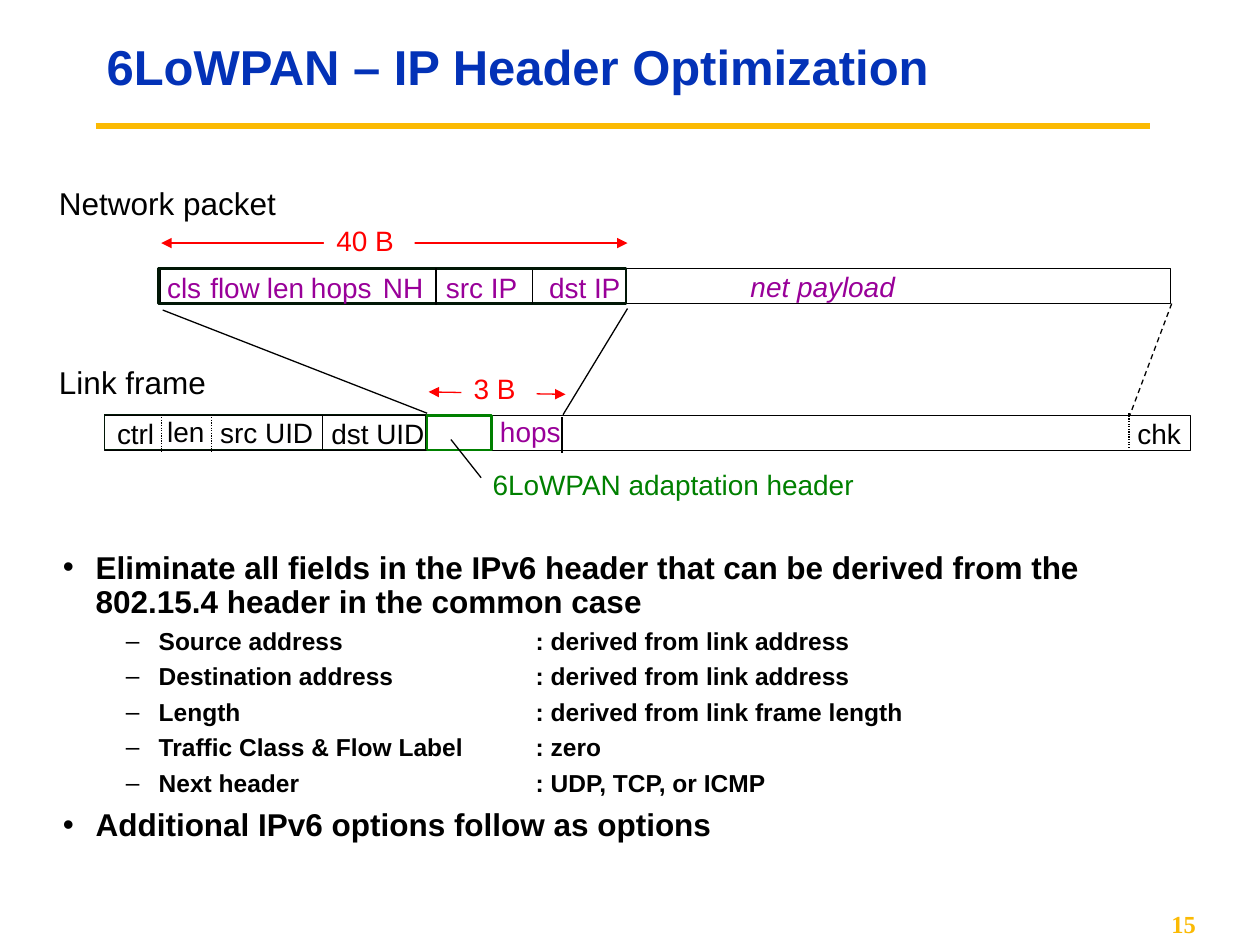
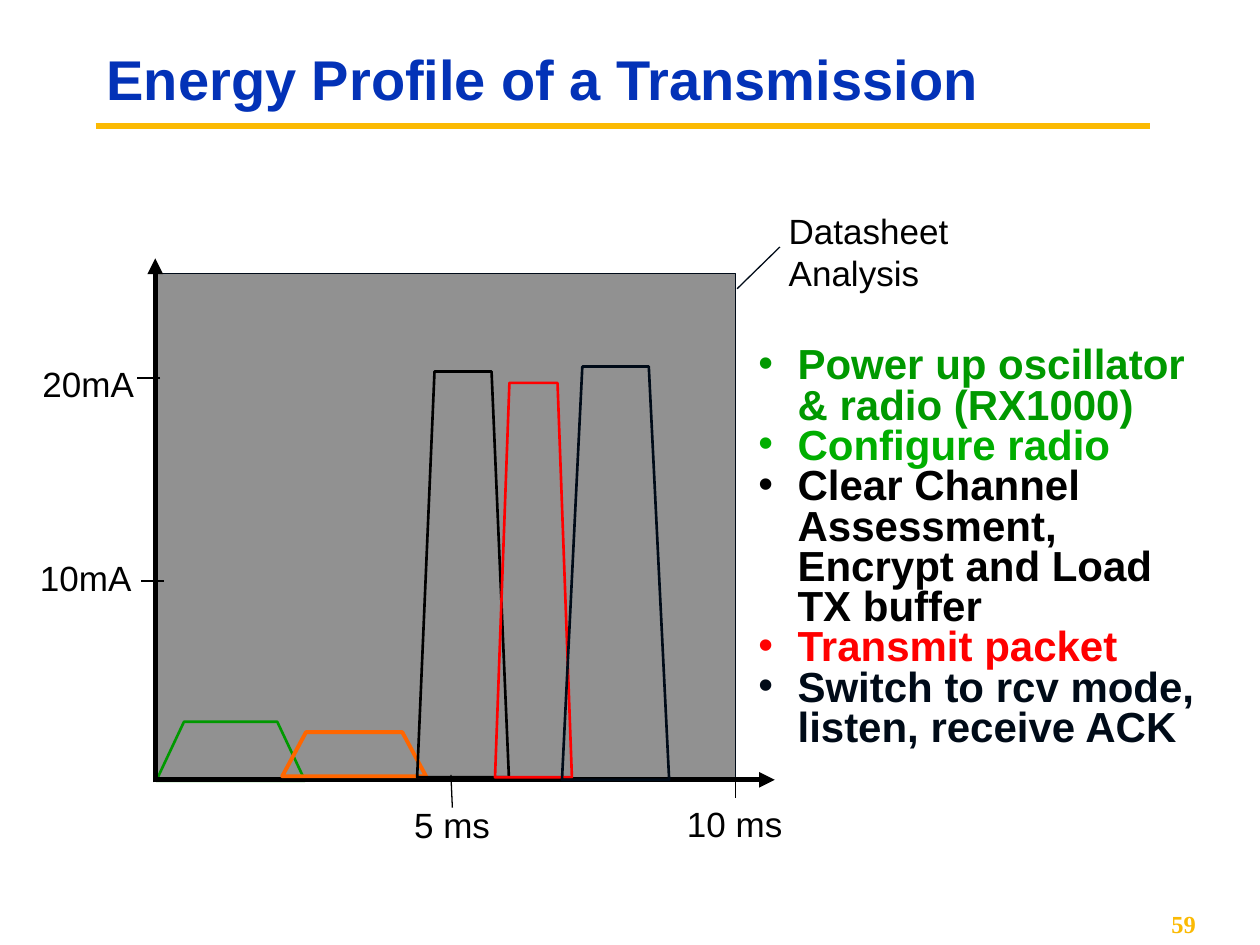
from dataclasses import dataclass
from typing import Optional

from lxml import etree
from pptx import Presentation
from pptx import util as u
from pptx.dml.color import RGBColor
from pptx.enum import dml, shapes, text
from pptx.oxml.ns import qn


# Theme: colours and type sizes
@dataclass(frozen=True)
class Theme:
    black: str = "000000"
    white: str = "FFFFFF"
    title: str = "0332B7"
    gold: str = "FBBA03"
    red: str = "FF0000"
    purple: str = "990099"
    header_line: str = "011706"
    adaptation: str = "008000"
    power_up: str = "009900"
    configure: str = "00AE00"
    orange: str = "FF6600"
    navy: str = "000B18"
    plot: str = "919191"
    sans: str = "Arial"
    serif: str = "Times New Roman"
    small: int = 14
    field: int = 16
    medium: int = 18
    axis: int = 20
    large: int = 24
    long_title: int = 28
    short_title: int = 32


THEME = Theme()


# Repeated elements, lengths in centimetres
@dataclass(frozen=True)
class Label:
    words: str
    left: float
    top: float
    width: float
    color: str = THEME.black
    size: int = THEME.field
    fill: Optional[str] = None
    italic: bool = False
    centered: bool = False


@dataclass(frozen=True)
class Line:
    x1: float
    y1: float
    x2: float
    y2: float
    color: str = THEME.black
    weight: float = 0.75
    dash: Optional[dml.MSO_LINE] = None
    head: bool = False
    tail: bool = False


@dataclass(frozen=True)
class Frame:
    left: float
    top: float
    width: float
    height: float
    line: str = THEME.black
    weight: float = 0.75
    fill: Optional[str] = THEME.white


@dataclass(frozen=True)
class Pulse:
    left: float
    right: float
    inset: float
    top: float
    base: float
    color: str
    weight: float = 1.5


@dataclass(frozen=True)
class Bullet:
    words: str
    color: str = THEME.black
    bullet_color: str = THEME.black
    size: int = THEME.medium
    mark: str = "•"
    margin: float = 0.66
    hang: float = 0.66
    spacing: float = 0.9
    before: float = 0
    tab: Optional[float] = None


def add_text(page, words: str, left: float, top: float, width: float, height: float, *,
             size: float, color: str, font: str = THEME.sans, bold: bool = False,
             italic: bool = False, align=text.PP_ALIGN.LEFT, anchor=text.MSO_ANCHOR.TOP,
             spacing: float = 1.0, fill: Optional[str] = None):
    box = page.shapes.add_textbox(u.Cm(left), u.Cm(top), u.Cm(width), u.Cm(height))
    if fill:
        box.fill.solid()
        box.fill.fore_color.rgb = RGBColor.from_string(fill)
    frame = box.text_frame
    frame.word_wrap = True
    frame.vertical_anchor = anchor
    frame.text = words
    for para in frame.paragraphs:
        para.alignment = align
        para.line_spacing = spacing
        for span in para.runs:
            style_font(span.font, size, color, font, bold, italic)
    return box


def style_font(font, size: float, color: str, name: str = THEME.sans,
               bold: bool = False, italic: bool = False) -> None:
    font.size, font.name, font.bold, font.italic = u.Pt(size), name, bold, italic
    font.color.rgb = RGBColor.from_string(color)


def add_label(page, label: Label) -> None:
    """Tight caption: the unused side insets leave room to keep each line whole."""
    lines = label.words.count("\n") + 1
    align = text.PP_ALIGN.CENTER if label.centered else text.PP_ALIGN.LEFT
    box = add_text(page, label.words, label.left, label.top, label.width,
                   0.26 + 0.042 * label.size * lines, size=label.size, color=label.color,
                   fill=label.fill, italic=label.italic, align=align)
    box.text_frame.margin_right = 0
    if label.centered:
        box.text_frame.margin_left = 0


def style_line(line, color: str, weight: float) -> None:
    line.color.rgb = RGBColor.from_string(color)
    line.width = u.Pt(weight)


def add_line(page, line: Line) -> None:
    connector = page.shapes.add_connector(
        shapes.MSO_CONNECTOR.STRAIGHT, u.Cm(line.x1), u.Cm(line.y1), u.Cm(line.x2), u.Cm(line.y2))
    style_line(connector.line, line.color, line.weight)
    if line.dash is not None:
        connector.line.dash_style = line.dash
    properties = connector.element.spPr
    outline = properties.find(qn("a:ln"))
    for tag, wanted in (("a:headEnd", line.head), ("a:tailEnd", line.tail)):
        if wanted:
            etree.SubElement(outline, qn(tag), type="triangle")
    etree.SubElement(properties, qn("a:effectLst"))


def style_shape(shape, line: str, weight: float, fill: Optional[str]) -> None:
    shape.shadow.inherit = False
    style_line(shape.line, line, weight)
    if fill:
        shape.fill.solid()
        shape.fill.fore_color.rgb = RGBColor.from_string(fill)
    else:
        shape.fill.background()


def add_frame(page, frame: Frame) -> None:
    box = page.shapes.add_shape(shapes.MSO_SHAPE.RECTANGLE, u.Cm(frame.left), u.Cm(frame.top),
                                u.Cm(frame.width), u.Cm(frame.height))
    style_shape(box, frame.line, frame.weight, frame.fill)


def add_pulse(page, pulse: Pulse) -> None:
    corners = [(pulse.right, pulse.base), (pulse.right - pulse.inset, pulse.top),
               (pulse.left + pulse.inset, pulse.top)]
    builder = page.shapes.build_freeform(u.Cm(pulse.left), u.Cm(pulse.base))
    builder.add_line_segments([(u.Cm(x), u.Cm(y)) for x, y in corners], close=True)
    style_shape(builder.convert_to_shape(), pulse.color, pulse.weight, None)


def add_bullets(page, bullets: list[Bullet], left: float, top: float,
                width: float, height: float) -> None:
    box = page.shapes.add_textbox(u.Cm(left), u.Cm(top), u.Cm(width), u.Cm(height))
    frame = box.text_frame
    frame.word_wrap = True
    for index, bullet in enumerate(bullets):
        para = frame.paragraphs[0] if index == 0 else frame.add_paragraph()
        properties = para._p.get_or_add_pPr()
        properties.set("marL", str(u.Cm(bullet.margin)))
        properties.set("indent", str(-u.Cm(bullet.hang)))
        color = etree.SubElement(properties, qn("a:buClr"))
        etree.SubElement(color, qn("a:srgbClr"), val=bullet.bullet_color)
        etree.SubElement(properties, qn("a:buFont"), typeface=THEME.sans)
        etree.SubElement(properties, qn("a:buChar"), char=bullet.mark)
        if bullet.tab:
            tabs = etree.SubElement(properties, qn("a:tabLst"))
            etree.SubElement(tabs, qn("a:tab"), pos=str(u.Cm(bullet.tab)), algn="l")
        para.line_spacing = bullet.spacing
        para.space_before = u.Pt(bullet.before)
        span = para.add_run()
        span.text = bullet.words
        style_font(span.font, bullet.size, bullet.color, bold=True)


def add_page(deck, title: str, number: int, title_size: int, title_height: float):
    """Blank page with the shared rule, title and page number."""
    page = deck.slides.add_slide(deck.slide_layouts[6])
    add_line(page, Line(1.93, 2.54, 23.19, 2.54, THEME.gold, 3.75))
    add_text(page, title, 1.9, 0.64, 21.39, title_height, size=title_size, color=THEME.title,
             bold=True, anchor=text.MSO_ANCHOR.MIDDLE, spacing=0.9)
    add_text(page, str(number), 20.75, 18.21, 3.61, 0.84, size=THEME.small, color=THEME.gold,
             font=THEME.serif, bold=True, align=text.PP_ALIGN.RIGHT,
             anchor=text.MSO_ANCHOR.MIDDLE)
    return page


def build_header_page(deck) -> None:
    page = add_page(deck, "6LoWPAN – IP Header Optimization", 15, THEME.long_title, 1.52)

    # Packet and frame outlines
    for frame in (
        Frame(2.11, 8.38, 21.89, 0.71),
        Frame(2.11, 8.36, 6.48, 0.71, THEME.header_line, fill=None),
        Frame(8.61, 8.38, 1.3, 0.69, THEME.adaptation, 1.5),
        Frame(3.23, 5.41, 20.37, 0.71),
        Frame(3.2, 5.41, 9.42, 0.71, THEME.header_line, 1.5, None),
    ):
        add_frame(page, frame)

    # Field dividers: x, top, bottom, dash
    dotted = dml.MSO_LINE.ROUND_DOT
    for x, top, bottom, dash in (
        (3.25, 8.41, 9.09, dotted), (4.27, 8.41, 9.09, dotted), (22.76, 8.33, 9.02, dotted),
        (6.5, 8.36, 9.09, None), (11.33, 8.41, 9.14, None),
        (10.74, 5.44, 6.12, None), (8.79, 5.41, 6.15, None),
    ):
        add_line(page, Line(x, top, x, bottom, dash=dash))

    # Size arrows, projections and leader
    for line in (
        Line(3.25, 4.9, 12.65, 4.9, THEME.red, head=True, tail=True),
        Line(8.64, 7.9, 11.4, 7.95, THEME.red, head=True, tail=True),
        Line(3.28, 6.25, 8.61, 8.33),
        Line(12.65, 6.22, 11.35, 8.36),
        Line(23.62, 6.12, 22.78, 8.36, dash=dml.MSO_LINE.DASH),
        Line(9.09, 8.86, 9.7, 9.63),
    ):
        add_line(page, line)

    # Captions and link-frame fields
    for label in (
        Label("Network packet", 0.94, 3.58, 4.88, size=THEME.medium),
        Label("Link frame", 0.94, 7.19, 3.45, size=THEME.medium),
        Label("40 B", 6.53, 4.39, 1.83, THEME.red, fill=THEME.white),
        Label("3 B", 9.3, 7.37, 1.52, THEME.red, fill=THEME.white),
        Label("ctrl", 2.11, 8.28, 1.24),
        Label("len", 3.12, 8.23, 1.24),
        Label("src UID", 4.19, 8.26, 2.39),
        Label("dst UID", 6.43, 8.28, 2.39),
        Label("hops", 9.83, 8.23, 1.73, THEME.purple),
        Label("chk", 22.68, 8.28, 1.37),
        Label("6LoWPAN adaptation header", 9.68, 9.3, 7.82, THEME.adaptation),
        Label("net payload", 14.88, 5.31, 3.4, THEME.purple, italic=True),
    ):
        add_label(page, label)

    # IP header fields
    for words, left, width in (
        ("cls", 3.12, 1.19), ("flow", 3.99, 1.5), ("len", 5.13, 1.24), ("hops", 6.02, 1.73),
        ("NH", 7.47, 1.32), ("src IP", 8.74, 1.93), ("dst IP", 10.82, 1.93),
    ):
        add_label(page, Label(words, left, 5.33, width, THEME.purple))

    # Explanation
    derivations = (
        ("Source address", "derived from link address"),
        ("Destination address", "derived from link address"),
        ("Length", "derived from link frame length"),
        ("Traffic Class & Flow Label", "zero"),
        ("Next header", "UDP, TCP, or ICMP"),
    )
    bullets = [Bullet("Eliminate all fields in the IPv6 header that can be derived from the "
                      "802.15.4 header in the common case")]
    bullets += [Bullet(f"{name}\t: {origin}", size=THEME.small, mark="–", margin=1.93,
                       before=5.2, tab=9.53) for name, origin in derivations]
    bullets.append(Bullet("Additional IPv6 options follow as options", before=6.8))
    add_bullets(page, bullets, 1.02, 11, 23.24, 6.25)


def build_energy_page(deck) -> None:
    page = add_page(deck, "Energy Profile of a Transmission", 59, THEME.short_title, 2.06)

    # Plot area, axes and ticks
    add_frame(page, Frame(3.1, 5.51, 11.73, 10.24, THEME.navy, fill=THEME.plot))
    add_pulse(page, Pulse(3.15, 6.15, 0.56, 14.55, 15.74, THEME.power_up))
    for line in (
        Line(3.15, 15.72, 15.62, 15.72, weight=3, tail=True),
        Line(3.13, 15.77, 3.13, 5.21, weight=3, tail=True),
        Line(3.23, 7.62, 2.77, 7.62),
        Line(3.3, 11.71, 2.84, 11.71),
        Line(9.09, 15.62, 9.12, 16.28),
        Line(14.83, 15.7, 14.83, 16.08),
        Line(14.86, 5.82, 15.72, 4.98, THEME.navy),
    ):
        add_line(page, line)

    # Current pulses
    for pulse in (
        Pulse(5.69, 8.59, 0.48, 14.76, 15.65, THEME.orange, 2.25),
        Pulse(8.41, 10.26, 0.35, 7.49, 15.67, THEME.black),
        Pulse(9.98, 11.53, 0.29, 7.72, 15.67, THEME.red),
        Pulse(11.33, 13.49, 0.41, 7.39, 15.72, THEME.navy),
    ):
        add_pulse(page, pulse)

    # Axis labels and plot caption
    for words, left, top, width in (
        ("20mA", 0.61, 7.19, 2.34), ("10mA", 0.56, 11.1, 2.34),
        ("5 ms", 8.1, 16.08, 2.03), ("10 ms", 13.59, 16.05, 2.44),
    ):
        add_label(page, Label(words, left, top, width, size=THEME.axis, centered=True))
    add_label(page, Label("Datasheet\nAnalysis", 15.65, 4.09, 3.73, size=THEME.axis))

    # Phases of the transmission
    phases = (
        ("Power up oscillator & radio (RX1000)", THEME.power_up),
        ("Configure radio", THEME.configure),
        ("Clear Channel Assessment, Encrypt and Load TX buffer", THEME.black),
        ("Transmit packet", THEME.red),
        ("Switch to rcv mode, listen, receive ACK", THEME.navy),
    )
    add_bullets(page, [Bullet(words, color, color, THEME.large, margin=0.79, hang=0.79,
                              spacing=0.8) for words, color in phases], 15.04, 6.88, 9.75, 8.94)


def main() -> None:
    deck = Presentation()
    deck.slide_width, deck.slide_height = u.Cm(25.4), u.Cm(19.05)
    build_header_page(deck)
    build_energy_page(deck)
    deck.save("out.pptx")


if __name__ == "__main__":
    main()
